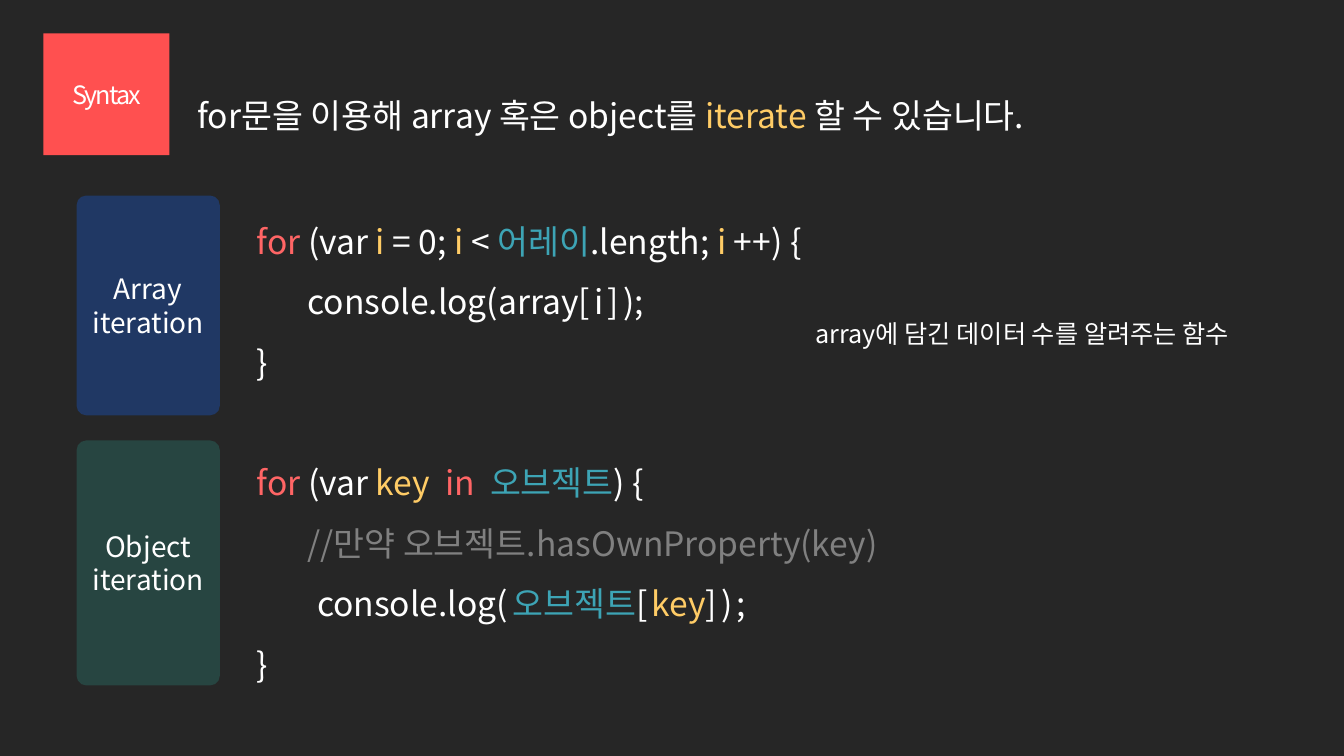
from pptx import Presentation
from pptx.dml.color import RGBColor
from pptx.enum.shapes import MSO_SHAPE
from pptx.enum.text import MSO_ANCHOR, PP_ALIGN
from pptx.oxml.ns import qn
from pptx.util import Inches, Pt

ROUNDED = MSO_SHAPE.ROUNDED_RECTANGLE
TOP, MIDDLE = MSO_ANCHOR.TOP, MSO_ANCHOR.MIDDLE
LEFT, CENTER = PP_ALIGN.LEFT, PP_ALIGN.CENTER

FONT = "Noto Sans CJK KR"
BACKGROUND = "262626"
WHITE, YELLOW, RED = "FFFFFF", "FFCC66", "FF6565"
TEAL, GRAY = "3DA4B5", "808080"
WIDE = 3  # letter spacing of brackets, in points

# Each line is a list of runs: (text, colour, letter spacing), the last two optional
HEADLINE = [[("for문을 이용해 array 혹은 object를 ",), ("iterate ", YELLOW),
             ("할 수 있습니다.",)]]
ARRAY_CODE = [
    [("for ", RED), ("(var ",), ("i", YELLOW), (" = 0; ",), ("i", YELLOW),
     (" < ",), ("어레이", TEAL), (".length; ",), ("i", YELLOW), (" ++) {",)],
    [("\tconsole.log(array",), ("[i]", WHITE, WIDE), (");",)],
    [("}",)],
]
OBJECT_CODE = [
    [("for", RED), (" (var ",), ("key  ", YELLOW), ("in  ", RED),
     ("오브젝트", TEAL), (") {",)],
    [("\t",), ("//만약 오브젝트.hasOwnProperty(key)", GRAY)],
    [("        console.log",), ("(", WHITE, WIDE), ("오브젝트", TEAL),
     ("[", WHITE, WIDE), ("key", YELLOW), ("]);", WHITE, WIDE)],
    [("}",)],
]
LENGTH_NOTE = [[("array에 담긴 데이터 수를 알려주는 함수",)]]
SYNTAX = [[("Syntax", WHITE, -1.5)]]

CARD_LEFT, CARD_WIDTH = 0.76, 1.42
# Words, fill, top, height
CARDS = [
    (("Array", "iteration"), "203864", 1.94, 2.18),
    (("Object", "iteration"), "274541", 4.37, 2.43),
]


def rgb(value):
    return RGBColor.from_string(value)


def write(frame, lines, size=24, align=LEFT, anchor=TOP, spacing=1.0, gaps=()):
    """Fill a frame with lines of runs; gaps maps a line index to points before it."""
    frame.word_wrap = True
    frame.vertical_anchor = anchor
    gaps = dict(gaps)
    for index, runs in enumerate(lines):
        paragraph = frame.paragraphs[0] if index == 0 else frame.add_paragraph()
        paragraph.alignment = align
        paragraph.line_spacing = spacing
        if index in gaps:
            paragraph.space_before = Pt(gaps[index])
        for text, *style in runs:
            color, tracking = (style + [WHITE, 0][len(style):])
            run = paragraph.add_run()
            run.text = text
            run.font.size = Pt(size)
            run.font.name = FONT
            run.font.color.rgb = rgb(color)
            properties = run.font._element
            east_asian = properties.makeelement(qn("a:ea"), {"typeface": FONT})
            properties.append(east_asian)
            if tracking:
                properties.set("spc", str(int(tracking * 100)))


def add_text(slide, box, lines, **style):
    write(slide.shapes.add_textbox(*map(Inches, box)).text_frame, lines, **style)


def add_card(slide, box, fill, lines, size, rounding):
    card = slide.shapes.add_shape(ROUNDED, *map(Inches, box))
    card.adjustments[0] = rounding
    card.shadow.inherit = False
    card.fill.solid()
    card.fill.fore_color.rgb = rgb(fill)
    card.line.fill.background()
    write(card.text_frame, lines, size=size, align=CENTER, anchor=MIDDLE)


def main():
    deck = Presentation()
    deck.slide_width, deck.slide_height = Inches(13.33), Inches(7.5)
    slide = deck.slides.add_slide(deck.slide_layouts[6])
    slide.background.fill.solid()
    slide.background.fill.fore_color.rgb = rgb(BACKGROUND)

    add_text(slide, (1.86, 0.69, 10.22, 0.97), HEADLINE, spacing=1.5)
    add_text(slide, (2.45, CARDS[0][2], 8.8, 4.95), ARRAY_CODE + OBJECT_CODE,
             spacing=1.5, gaps={len(ARRAY_CODE): 43})
    for words, fill, top, height in CARDS:
        add_card(slide, (CARD_LEFT, top, CARD_WIDTH, height), fill,
                 [[(word,)] for word in words], size=20, rounding=0.067)
    add_text(slide, (7.99, 3.11, 4.35, 0.4), LENGTH_NOTE, size=18)
    add_card(slide, (0.43, 0.33, 1.25, 1.21), "FF5050", SYNTAX, size=18, rounding=0)

    deck.save("out.pptx")


if __name__ == "__main__":
    main()
